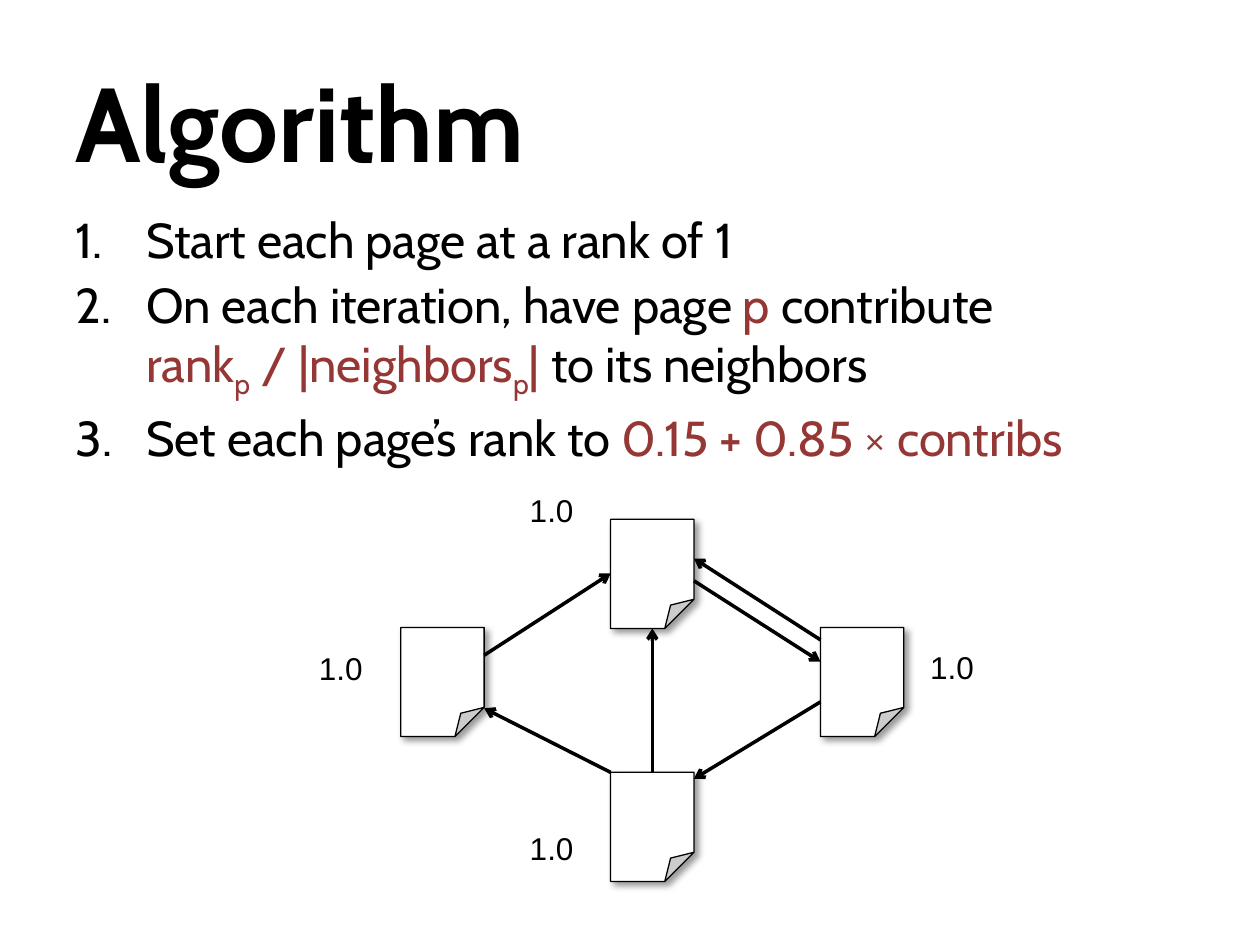
from dataclasses import dataclass
from typing import NamedTuple

from lxml.etree import SubElement
from pptx import Presentation
from pptx.dml.color import RGBColor
from pptx.enum.shapes import MSO_CONNECTOR, MSO_SHAPE
from pptx.enum.text import MSO_ANCHOR, MSO_AUTO_SIZE, PP_ALIGN
from pptx.oxml.ns import qn
from pptx.util import Cm, Pt


@dataclass(frozen=True)
class Theme:
    ink: RGBColor = RGBColor(0x00, 0x00, 0x00)
    paper: RGBColor = RGBColor(0xFF, 0xFF, 0xFF)
    formula: RGBColor = RGBColor(0x95, 0x37, 0x35)
    text_font: str = "Cabin"
    rank_font: str = "Arial"
    title_size: Pt = Pt(60)
    step_size: Pt = Pt(28)
    rank_size: Pt = Pt(18)
    outline: Pt = Pt(0.75)
    link: Pt = Pt(2)


class Box(NamedTuple):
    """A region in centimetres."""
    left: float
    top: float
    width: float
    height: float

    def emu(self):
        return [Cm(length) for length in self]


THEME = Theme()

# Each step is a list of (text, style); "\n" is a line break.
STEPS = [
    [("Start each page at a rank of 1", "plain")],
    [("On each iteration, have page ", "plain"), ("p", "formula"),
     (" contribute", "plain"), ("\n", "plain"),
     ("rank", "formula"), ("p", "subscript"),
     (" / |neighbors", "formula"), ("p", "subscript"),
     ("|", "formula"), (" to its neighbors", "plain")],
    [("Set each page’s rank to ", "plain"),
     ("0.15 + 0.85 × contribs", "formula")],
]

PAGE_WIDTH, PAGE_HEIGHT = 1.68, 2.2
COLUMN_PITCH = 4.23
FIRST_COLUMN = 1.9
# Page: column, top edge, offset of its rank label, rank
PAGES = {
    "left": (0, 2.87, (-1.9, 0.31), "1.0"),
    "top": (1, 0.69, (-1.88, -0.69), "1.0"),
    "right": (2, 2.87, (1.96, 0.28), "1.0"),
    "bottom": (1, 5.79, (-1.88, 1.02), "1.0"),
}
# Link: source page and point on it, target page and point on it
LINKS = [
    ("bottom", (0, 0), "left", (PAGE_WIDTH, 1.63)),
    ("left", (PAGE_WIDTH, 0.56), "top", (0, 1.09)),
    ("right", (0, 0.25), "top", (PAGE_WIDTH, 0.79)),
    ("top", (PAGE_WIDTH, 1.24), "right", (0, 0.69)),
    ("right", (0, 1.5), "bottom", (PAGE_WIDTH, 0.13)),
]


def set_font(font, name, size, bold=False):
    font.name, font.size, font.bold = name, size, bold
    font.color.rgb = THEME.ink


def add_title(slide, box, text):
    title = slide.shapes.title
    title.left, title.top, title.width, title.height = box.emu()
    title.text_frame.text = text
    title.text_frame.vertical_anchor = MSO_ANCHOR.MIDDLE
    paragraph = title.text_frame.paragraphs[0]
    paragraph.alignment = PP_ALIGN.LEFT
    set_font(paragraph.font, THEME.text_font, THEME.title_size, bold=True)


def number_paragraph(paragraph):
    properties = paragraph._p.get_or_add_pPr()
    properties.set("marL", str(Cm(1.43)))
    properties.set("indent", str(-Cm(1.43)))
    SubElement(properties, qn("a:buFont"), typeface="+mj-lt")
    SubElement(properties, qn("a:buAutoNum"), type="arabicPeriod")


def add_steps(slide, box, steps):
    frame = slide.shapes.add_textbox(*box.emu()).text_frame
    frame.word_wrap = True
    for index, step in enumerate(steps):
        paragraph = frame.add_paragraph() if index else frame.paragraphs[0]
        number_paragraph(paragraph)
        if index:
            paragraph.space_before = Pt(4)
        set_font(paragraph.font, THEME.text_font, THEME.step_size)
        for text, style in step:
            if text == "\n":
                paragraph.add_line_break()
                continue
            run = paragraph.add_run()
            run.text = text
            if style != "plain":
                run.font.color.rgb = THEME.formula
            if style == "subscript":
                run._r.get_or_add_rPr().set("baseline", "-25000")


def add_shadow(shape):
    shape.shadow.inherit = False
    effects = shape._element.spPr.find(qn("a:effectLst"))
    shadow = SubElement(effects, qn("a:outerShdw"), blurRad=str(Pt(4)),
                        dist=str(Pt(3)), dir="2700000", algn="tl",
                        rotWithShape="0")
    color = SubElement(shadow, qn("a:srgbClr"), val=str(THEME.ink))
    SubElement(color, qn("a:alpha"), val="40000")


def set_fold(shape, share):
    """Set the size of the folded corner, which has no public adjustment."""
    guides = shape._element.spPr.find(qn("a:prstGeom")).get_or_add_avLst()
    SubElement(guides, qn("a:gd"), name="adj", fmla=f"val {round(share * 100000)}")


def add_page(slide, box):
    page = slide.shapes.add_shape(MSO_SHAPE.FOLDED_CORNER, *box.emu())
    set_fold(page, 0.35)
    page.fill.solid()
    page.fill.fore_color.rgb = THEME.paper
    page.line.color.rgb = THEME.ink
    page.line.width = THEME.outline
    add_shadow(page)
    return page


def add_rank(slide, box, rank):
    label = slide.shapes.add_textbox(*box.emu())
    frame = label.text_frame
    frame.word_wrap = False
    frame.auto_size = MSO_AUTO_SIZE.SHAPE_TO_FIT_TEXT
    frame.text = rank
    set_font(frame.paragraphs[0].font, THEME.rank_font, THEME.rank_size)


def add_link(slide, start=(0, 0), end=(0, 0)):
    link = slide.shapes.add_connector(MSO_CONNECTOR.STRAIGHT, *start, *end)
    link.line.color.rgb = THEME.ink
    link.line.width = THEME.link
    SubElement(link.line._get_or_add_ln(), qn("a:tailEnd"), type="arrow")
    SubElement(link._element.spPr, qn("a:effectLst"))
    return link


def add_page_graph(slide, box):
    pages = {}
    for name, (column, top, (label_x, label_y), rank) in PAGES.items():
        x = box.left + FIRST_COLUMN + column * COLUMN_PITCH
        y = box.top + top
        pages[name] = add_page(slide, Box(x, y, PAGE_WIDTH, PAGE_HEIGHT))
        add_rank(slide, Box(x + label_x, y + label_y, 1.4, 1.02), rank)

    def point(name, offset):
        return pages[name].left + Cm(offset[0]), pages[name].top + Cm(offset[1])

    for source, start, target, end in LINKS:
        add_link(slide, point(source, start), point(target, end))
    upward = add_link(slide)
    upward.begin_connect(pages["bottom"], 0)
    upward.end_connect(pages["top"], 2)


def main():
    presentation = Presentation()
    presentation.slide_width, presentation.slide_height = Cm(25.4), Cm(19.05)
    slide = presentation.slides.add_slide(presentation.slide_layouts[5])
    add_title(slide, Box(1.27, 0.84, 22.86, 3.18), "Algorithm")
    add_steps(slide, Box(1.27, 4.09, 22.86, 5.56), STEPS)
    add_page_graph(slide, Box(6.18, 9.78, 13.72, 8))
    presentation.save("out.pptx")


if __name__ == "__main__":
    main()
